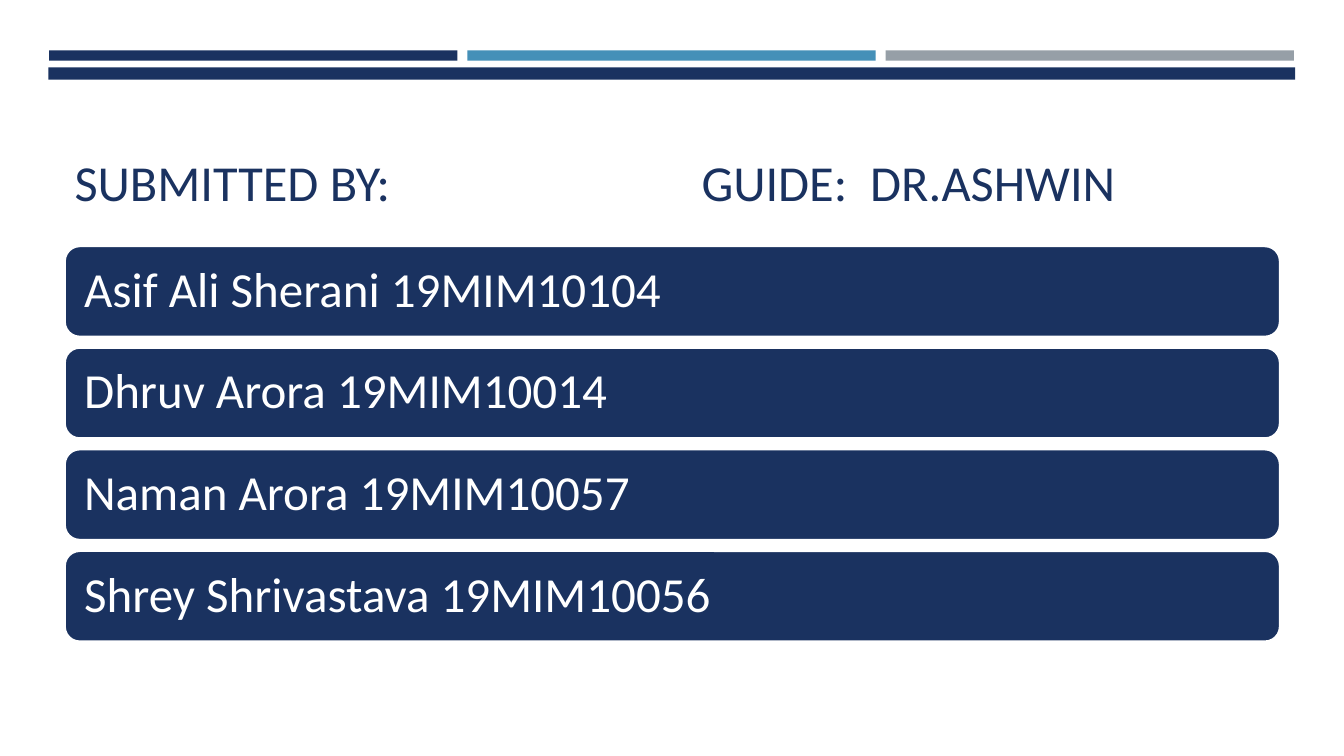
from lxml.etree import SubElement
from pptx import Presentation
from pptx.dml.color import RGBColor
from pptx.enum.shapes import MSO_SHAPE as Shape
from pptx.enum.text import MSO_ANCHOR as Anchor, PP_ALIGN as Align
from pptx.oxml.ns import qn
from pptx.util import Cm, Pt

NAVY, BLUE, GREY, WHITE = "1A3260", "4590B8", "969FA7", "FFFFFF"
STUDENTS = [
    "Asif Ali Sherani 19MIM10104",
    "Dhruv Arora 19MIM10014",
    "Naman Arora 19MIM10057",
    "Shrey Shrivastava 19MIM10056",
]


def colour(value):
    """Turn a hex string into a colour."""
    return RGBColor.from_string(value)


def style_text(para, size, value):
    """Set the font of a left-aligned paragraph."""
    para.alignment = Align.LEFT
    for span in para.runs:
        span.font.name = "Calibri"
        span.font.size = Pt(size)
        span.font.color.rgb = colour(value)


def add_block(page, kind, left, top, width, height, fill):
    """Add a flat filled shape without an outline."""
    block = page.shapes.add_shape(kind, Cm(left), Cm(top), Cm(width), Cm(height))
    block.shadow.inherit = False
    block.fill.solid()
    block.fill.fore_color.rgb = colour(fill)
    block.line.fill.background()
    return block


def add_header_bars(page):
    """Add three short bars above one long bar."""
    for index, fill in enumerate([NAVY, BLUE, GREY]):
        add_block(page, Shape.RECTANGLE, 1.24 + index * 10.54, 1.27, 10.29, 0.26, fill)
    add_block(page, Shape.RECTANGLE, 1.22, 1.7, 31.42, 0.31, NAVY)


def add_title(page, left_text, right_text):
    """Add the heading, its second part set at a tab stop."""
    box = page.shapes.add_textbox(Cm(1.63), Cm(2.49), Cm(31.29), Cm(2.97))
    frame = box.text_frame
    frame.word_wrap = True
    frame.vertical_anchor = Anchor.BOTTOM
    para = frame.paragraphs[0]
    tabs = SubElement(para._p.get_or_add_pPr(), qn("a:tabLst"))
    SubElement(tabs, qn("a:tab"), pos=str(Cm(15.8)), algn="l")
    para.text = f"{left_text}\t{right_text}"
    style_text(para, 36, NAVY)


def add_student(page, top, name):
    """Add a rounded card with a student's name and number."""
    card = add_block(page, Shape.ROUNDED_RECTANGLE, 1.63, top, 30.63, 2.29, NAVY)
    card.line.color.rgb = colour(WHITE)
    card.line.width = Pt(1.75)
    frame = card.text_frame
    frame.text = name
    frame.word_wrap = True
    frame.vertical_anchor = Anchor.MIDDLE
    frame.margin_left = frame.margin_right = Cm(0.38)
    para = frame.paragraphs[0]
    para.line_spacing = 0.9
    style_text(para, 35, WHITE)


def main():
    """Build and save the slide."""
    deck = Presentation()
    deck.slide_width, deck.slide_height = Cm(33.87), Cm(19.05)
    page = deck.slides.add_slide(deck.slide_layouts[6])
    add_header_bars(page)
    add_title(page, "SUBMITTED BY:", "GUIDE:  DR.ASHWIN")
    for index, name in enumerate(STUDENTS):
        add_student(page, 6.2 + index * 2.56, name)
    deck.save("out.pptx")


if __name__ == "__main__":
    main()
